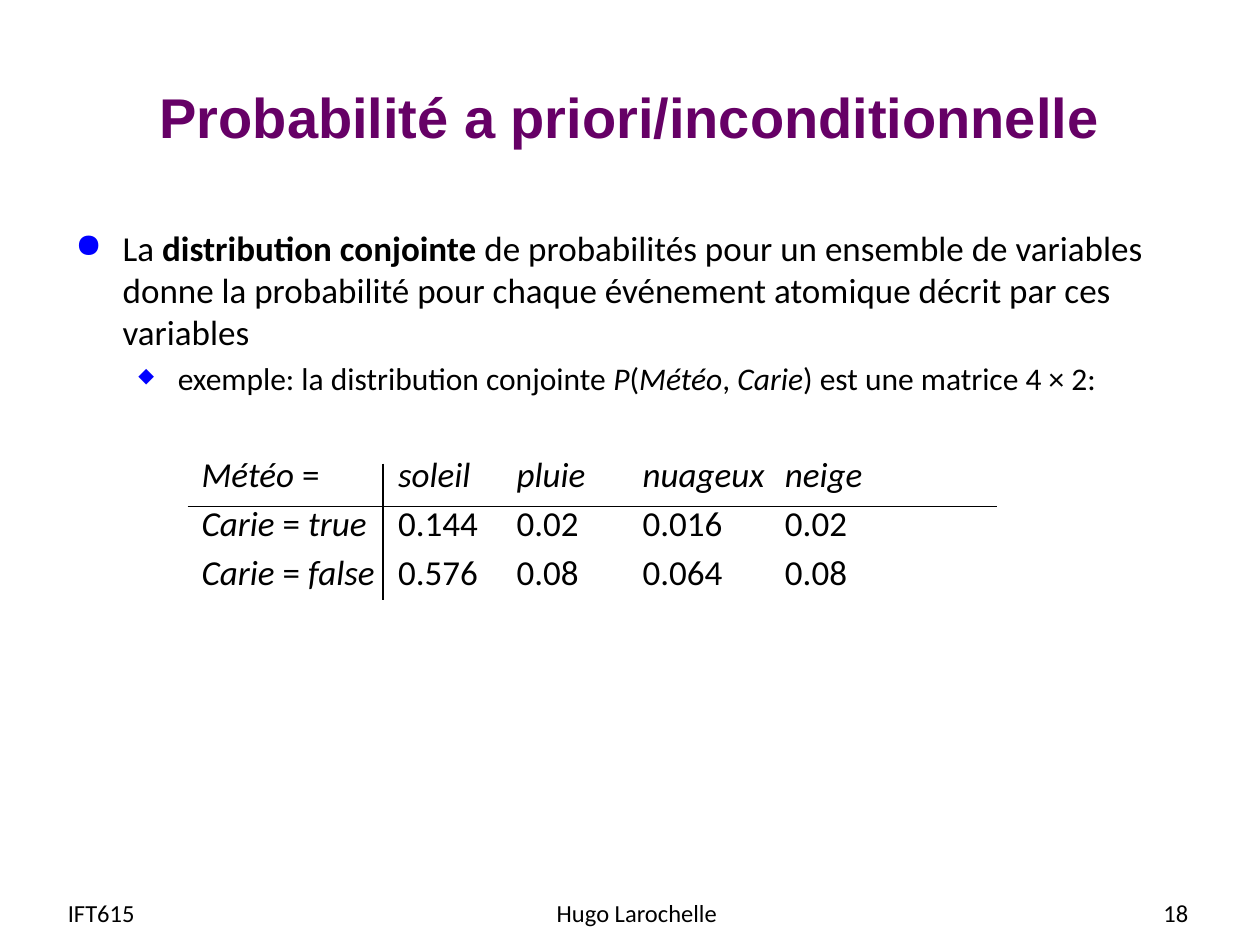
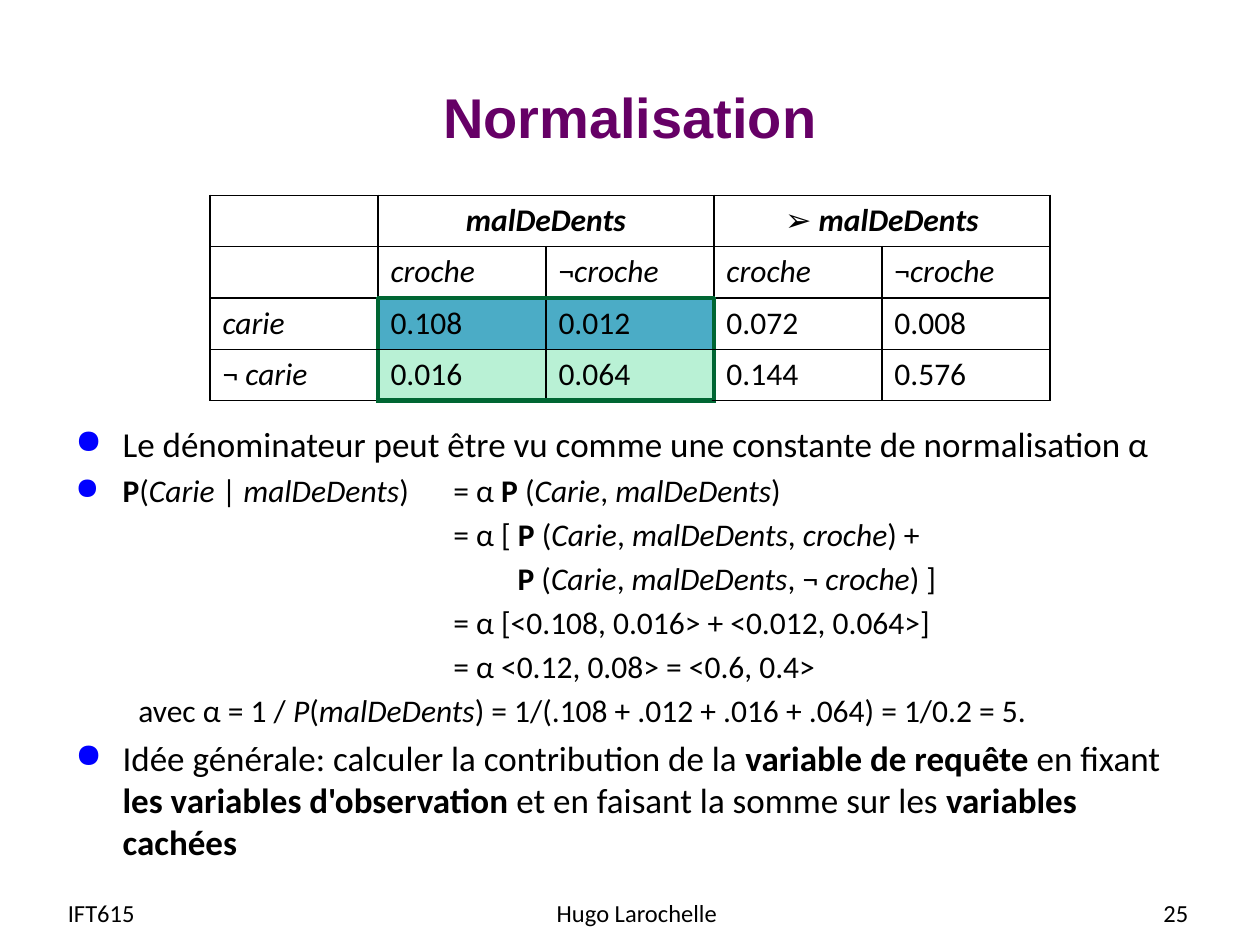
from lxml.etree import SubElement
from pptx import Presentation
from pptx.dml.color import RGBColor
from pptx.enum.shapes import MSO_CONNECTOR
from pptx.enum.text import MSO_ANCHOR as Anchor, PP_ALIGN as Align
from pptx.oxml.ns import qn
from pptx.util import Inches, Pt

# Shared look; lengths are cells of a grid of 100 columns by 75 rows
COLUMNS, ROWS = 100, 75
BLACK, PURPLE, BLUE = "000000", "660066", "0000FF"
GREEN, TEAL, MINT = "006633", "4BACC6", "B9F1D5"
TITLE_FONT, BODY_FONT = "Arial", "Calibri"
BULLETS = {"●": 96, "◆": 65}
COURSE, AUTHOR = "IFT615", "Hugo Larochelle"


def grid(cells):
    return Inches(cells / 10)


def color(value):
    return RGBColor.from_string(value)


def write(paragraph, text, size, font=BODY_FONT, ink=BLACK, align=Align.LEFT):
    """Write text in which *...* is bold and _..._ is italic."""
    paragraph.alignment = align
    for bold, section in enumerate(text.split("*")):
        for italic, piece in enumerate(section.split("_")):
            if piece:
                run = paragraph.add_run()
                run.text = piece
                run.font.name, run.font.size = font, Pt(size)
                run.font.color.rgb = color(ink)
                run.font.bold, run.font.italic = bold % 2 == 1, italic % 2 == 1


def add_box(slide, left, top, width, height, anchor=Anchor.TOP):
    box = slide.shapes.add_textbox(*map(grid, (left, top, width, height)))
    frame = box.text_frame
    frame.word_wrap, frame.vertical_anchor = True, anchor
    return frame


def add_label(slide, area, text, size, align, **style):
    frame = add_box(slide, *area, anchor=Anchor.MIDDLE)
    write(frame.paragraphs[0], text, size, align=align, **style)


def add_paragraph(frame, text, size, indent=0, hanging=0, bullet=None):
    """Add a paragraph; indent and hanging are in grid cells."""
    first = frame.paragraphs[0]
    paragraph = frame.add_paragraph() if first.runs else first
    write(paragraph, text, size)
    paragraph.space_before = Pt(size / 5)
    properties = paragraph._p.get_or_add_pPr()
    properties.set("marL", str(grid(indent)))
    properties.set("indent", str(-grid(hanging)))
    if bullet:
        ink = SubElement(properties, qn("a:buClr"))
        SubElement(ink, qn("a:srgbClr"), val=BLUE)
        SubElement(properties, qn("a:buSzPct"), val=str(BULLETS[bullet] * 1000))
        SubElement(properties, qn("a:buChar"), char=bullet)


def add_point(frame, text, size=20):
    add_paragraph(frame, text, size, 3.75, 3.75, "●")


def add_matrix(slide, top, edges, columns):
    """Add one text box per column, each reaching to the next edge."""
    for left, right, entries in zip(edges, edges[1:], columns):
        frame = add_box(slide, left, top, right - left, 12)
        frame.margin_left = frame.margin_right = 0
        frame.margin_top = frame.margin_bottom = 0
        for entry in entries:
            add_paragraph(frame, entry, 20)


def add_rule(slide, start, end):
    line = slide.shapes.add_connector(MSO_CONNECTOR.STRAIGHT, *map(grid, start + end))
    line.line.color.rgb, line.line.width = color(BLACK), Pt(0.75)
    SubElement(line._element.spPr, qn("a:effectLst"))


def add_slide(presentation, title, number):
    slide = presentation.slides.add_slide(presentation.slide_layouts[6])
    add_label(slide, (5, 3, 90, 12.5), f"*{title}*", 32, Align.CENTER,
              font=TITLE_FONT, ink=PURPLE)
    footers = ((4.4, 19.3, COURSE, Align.LEFT), (34.7, 31.7, AUTHOR, Align.CENTER),
               (72, 23.3, str(number), Align.RIGHT))
    for left, width, text, align in footers:
        add_label(slide, (left, 70.4, width, 4), text, 14, align)
    return slide


def set_border(cell, side, ink, width):
    border = SubElement(cell._tc.get_or_add_tcPr(), qn(f"a:{side}"), w=str(Pt(width)))
    fill = SubElement(border, qn("a:solidFill"))
    SubElement(fill, qn("a:srgbClr"), val=ink)


def add_probability_table(slide, rows, fills, framed_rows, framed_columns):
    """Add a table with a green frame around the given rows and columns."""
    shape = slide.shapes.add_table(len(rows), len(rows[0]),
                                   *map(grid, (COLUMNS / 6, 15.5, COLUMNS * 2 / 3, 16.3)))
    table = shape.table
    table.first_row = table.horz_banding = False
    for column in (1, 3):
        table.cell(0, column).merge(table.cell(0, column + 1))
    row_edges = framed_rows[0], framed_rows[-1] + 1
    column_edges = framed_columns[0], framed_columns[-1] + 1
    for r, row in enumerate(rows):
        for c, text in enumerate(row):
            cell = table.cell(r, c)
            write(cell.text_frame.paragraphs[0], text, 18,
                  align=Align.LEFT if r else Align.CENTER)
            in_rows, in_columns = r in framed_rows, c in framed_columns
            sides = {"lnL": in_rows and c in column_edges,
                     "lnR": in_rows and c + 1 in column_edges,
                     "lnT": in_columns and r in row_edges,
                     "lnB": in_columns and r + 1 in row_edges}
            for side, framed in sides.items():
                set_border(cell, side, *((GREEN, 3) if framed else (BLACK, 1)))
            if in_rows and in_columns:
                cell.fill.solid()
                cell.fill.fore_color.rgb = color(fills[r])
            else:
                cell.fill.background()


def build_joint_distribution(presentation):
    slide = add_slide(presentation, "Probabilité a priori/inconditionnelle", 18)
    body = add_box(slide, 5, 17.5, 90, 17)
    add_point(body, "La *distribution conjointe* de probabilités pour un ensemble de "
              "variables donne la probabilité pour chaque événement atomique décrit "
              "par ces variables")
    add_paragraph(body, "exemple: la distribution conjointe _P_(_Météo_, _Carie_) "
                  "est une matrice 4 × 2:", 18, 8.13, 3.13, "◆")

    # Matrix of joint probabilities
    add_matrix(slide, 35.95, (16, 31.6, 41, 51, 62.3, 79.1), (
        ("_Météo_ =", "_Carie_ = _true_", "_Carie_ = _false_"),
        ("_soleil_", "0.144", "0.576"),
        ("_pluie_", "0.02", "0.08"),
        ("_nuageux_", "0.016", "0.064"),
        ("_neige_", "0.02", "0.08")))
    add_rule(slide, (14.9, 40.2), (79.1, 40.2))
    add_rule(slide, (30.4, 36.8), (30.4, 47.6))


def build_normalisation(presentation):
    slide = add_slide(presentation, "Normalisation", 25)
    body = add_box(slide, 5, 33.05, 90, 36)
    add_point(body, "Le dénominateur peut être vu comme une constante de normalisation α")

    # Derivation, aligned on its equals signs
    equals = 30
    add_point(body, "*P*(_Carie_ | _malDeDents_)\t= α *P* (_Carie_, _malDeDents_)", 18)
    for indent, text in (
            (equals, "= α [ *P* (_Carie_, _malDeDents_, _croche_) +"),
            (equals + 5.1, "*P* (_Carie_, _malDeDents_, ¬ _croche_) ]"),
            (equals, "= α [<0.108, 0.016> + <0.012, 0.064>]"),
            (equals, "= α <0.12, 0.08> = <0.6, 0.4>"),
            (5, "avec α = 1 / _P_(_malDeDents_) = 1/(.108 + .012 + .016 + .064) "
                "= 1/0.2 = 5.")):
        add_paragraph(body, text, 18, indent)
    add_point(body, "Idée générale: calculer la contribution de la *variable de requête* "
              "en fixant *les variables d'observation* et en faisant la somme sur les "
              "*variables cachées*")

    rows = (("", "*_malDeDents_*", "", "*➢ _malDeDents_*", ""),
            ("", *("_croche_", "¬_croche_") * 2),
            ("_carie_", "0.108", "0.012", "0.072", "0.008"),
            ("¬ _carie_", "0.016", "0.064", "0.144", "0.576"))
    add_probability_table(slide, rows, {2: TEAL, 3: MINT}, (2, 3), (1, 2))


def main():
    presentation = Presentation()
    presentation.slide_width, presentation.slide_height = grid(COLUMNS), grid(ROWS)
    build_joint_distribution(presentation)
    build_normalisation(presentation)
    presentation.save("out.pptx")


if __name__ == "__main__":
    main()
